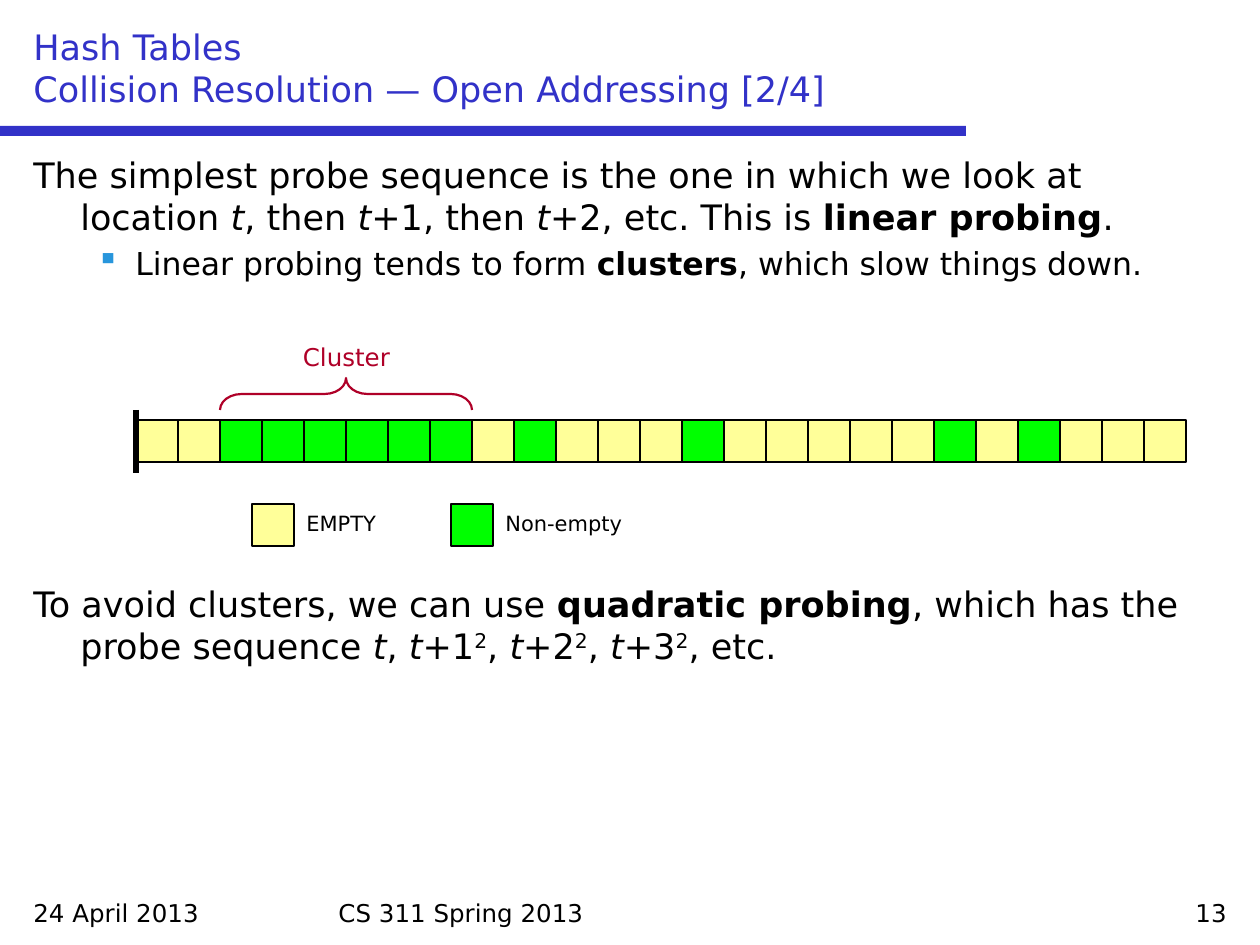
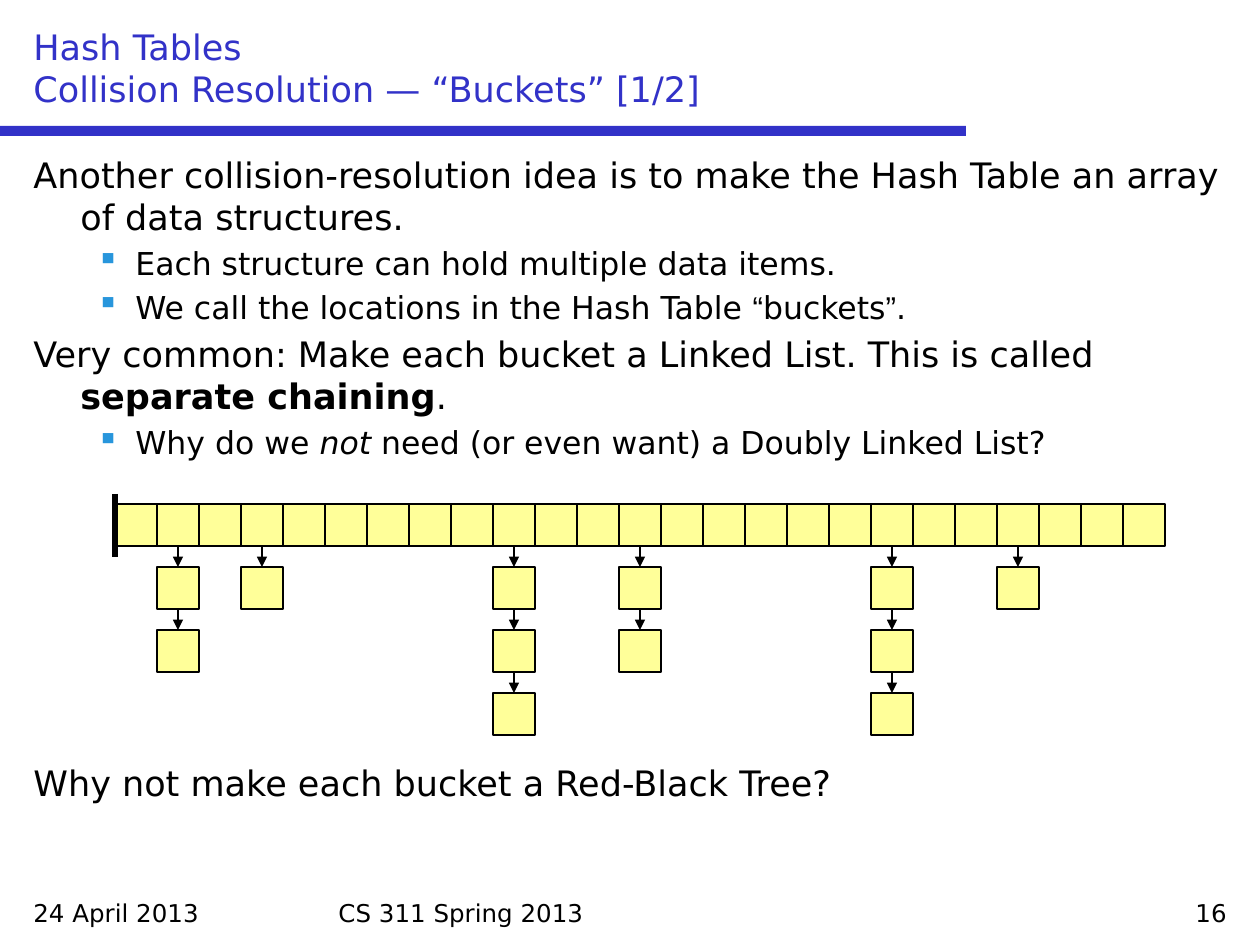
from lxml import etree
from pptx import Presentation
from pptx import util as u
from pptx.dml import color
from pptx.enum import shapes, text
from pptx.oxml import ns

SCALE = 914400 / 126
COLORS = {"title": "3232C8", "text": "000000", "bullet": "2896DC",
          "empty": "FFFF99", "full": "00FF00", "cluster": "AF0028"}
FONT = "DejaVu Sans"
CELL = 42
STEP = 63
BOLD = {"bold": True}
ITALIC = {"italic": True}
ARIAL = {"name": "Arial"}
T = ("t", ITALIC)
SQUARED = ("2", {"baseline": 30000})
LEVELS = [{"size": 20, "margin": 47, "hang": 47, "before": 4},
          {"size": 18, "margin": 102, "hang": 39, "before": 3.6}]
BELOW_DIAGRAM = 172


def px(n):
    return u.Emu(round(n * SCALE))


def rgb(name):
    return color.RGBColor.from_string(COLORS[name])


class Deck:
    def __init__(self):
        self.prs = Presentation()
        self.prs.slide_width, self.prs.slide_height = px(1260), px(945)
        self.s = None

    def slide(self, title, number):
        self.s = self.prs.slides.add_slide(self.prs.slide_layouts[6])
        self.rect(0, 126, 966, 10, "title", border=False)
        self.label("24 April 2013", 21, 892, 294)
        self.label("CS 311 Spring 2013", 326, 892, 609)
        self.label(str(number), 945, 892, 294, align=text.PP_ALIGN.RIGHT)
        self.label("Hash Tables\v" + title, 21, 21, 1218, 95, size=20,
                   ink="title", anchor=text.MSO_ANCHOR.BOTTOM)

    def frame(self, x, y, w, h, anchor=text.MSO_ANCHOR.TOP):
        tf = self.s.shapes.add_textbox(px(x), px(y), px(w), px(h)).text_frame
        formats = {"word_wrap": True, "vertical_anchor": anchor}
        for key, value in formats.items():
            setattr(tf, key, value)
        return tf

    def runs(self, p, parts, size, ink="text"):
        for part in parts:
            content, extra = (part, {}) if isinstance(part, str) else part
            for i, line in enumerate(content.split("\v")):
                if i:
                    p.add_line_break()
                r = p.add_run()
                r.text = line
                r.font.color.rgb = rgb(ink)
                formats = {"name": FONT, "size": u.Pt(size), **extra}
                baseline = formats.pop("baseline", None)
                for key, value in formats.items():
                    setattr(r.font, key, value)
                if baseline:
                    r._r.get_or_add_rPr().set("baseline", str(baseline))

    def label(self, content, x, y, w, h=42, size=14, ink="text",
              align=text.PP_ALIGN.LEFT, anchor=text.MSO_ANCHOR.TOP):
        p = self.frame(x, y, w, h, anchor).paragraphs[0]
        p.alignment = align
        self.runs(p, [content], size, ink)

    def body(self, items):
        tf = self.frame(21, 147, 1218, 735)
        for i, (level, parts, *before) in enumerate(items):
            p = tf.paragraphs[0] if i == 0 else tf.add_paragraph()
            style = LEVELS[level]
            p.level = level
            p.space_before = u.Pt(before[0] if before else style["before"])
            pPr = p._p.get_or_add_pPr()
            pPr.set("marL", str(px(style["margin"])))
            pPr.set("indent", str(-px(style["hang"])))
            if level:
                clr = etree.SubElement(pPr, ns.qn("a:buClr"))
                etree.SubElement(clr, ns.qn("a:srgbClr"), val=COLORS["bullet"])
                etree.SubElement(pPr, ns.qn("a:buChar"), char="▪")
            self.runs(p, parts, style["size"])

    def rect(self, x, y, w, h, fill, border=True):
        sp = self.s.shapes.add_shape(shapes.MSO_SHAPE.RECTANGLE,
                                     px(x), px(y), px(w), px(h))
        sp.shadow.inherit = False
        sp.fill.solid()
        sp.fill.fore_color.rgb = rgb(fill)
        if border:
            sp.line.color.rgb = rgb("text")
            sp.line.width = u.Pt(1.25)
        else:
            sp.line.fill.background()

    def cell(self, x, y, fill="empty"):
        self.rect(x, y, CELL, CELL, fill)

    def vertical(self, x, top, bottom, width=1.25, arrow=False):
        c = self.s.shapes.add_connector(shapes.MSO_CONNECTOR.STRAIGHT,
                                        px(x), px(top), px(x), px(bottom))
        c.line.color.rgb = rgb("text")
        c.line.width = u.Pt(width)
        if arrow:
            etree.SubElement(c.line._get_or_add_ln(), ns.qn("a:tailEnd"),
                             type="triangle")
        etree.SubElement(c._element.spPr, ns.qn("a:effectLst"))

    def array(self, x, y, full=(), count=25):
        for i in range(count):
            self.cell(x + i * CELL, y, "full" if i in full else "empty")
        self.vertical(x, y - 10, y + CELL + 11, width=3)

    def chain(self, x, y, length):
        for i in range(length):
            top = y + i * STEP
            self.vertical(x + CELL / 2, top + CELL, top + STEP, arrow=True)
            self.cell(x, top + STEP)

    def brace(self, x, y, w, h):
        sp = self.s.shapes.add_shape(
            shapes.MSO_SHAPE.LEFT_BRACE, px(x + (w - h) / 2),
            px(y + (h - w) / 2), px(h), px(w))
        sp.rotation = 90
        sp.adjustments[0], sp.adjustments[1] = 0.67, 0.5
        sp.shadow.inherit = False
        sp.fill.background()
        sp.line.color.rgb = rgb("cluster")
        sp.line.width = u.Pt(1.25)


deck = Deck()

deck.slide("Collision Resolution — Open Addressing [2/4]", 13)
deck.body([
    (0, ["The simplest probe sequence is the one in which we look at location ",
         T, ", then ", T, "+1, then ", T, "+2, etc. This is ",
         ("linear probing", BOLD), "."]),
    (1, ["Linear probing tends to form ", ("clusters", BOLD),
         ", which slow things down."]),
    (0, ["To avoid clusters, we can use ", ("quadratic probing", BOLD),
         ", which has the probe sequence ", T, ", ", T, "+1", SQUARED, ", ",
         T, "+2", SQUARED, ", ", T, "+3", SQUARED, ", etc."], BELOW_DIAGRAM),
])
left = 136
cluster = range(2, 8)
deck.array(left, 420, full=[*cluster, 9, 13, 19, 21])
deck.brace(left + cluster[0] * CELL, 378, len(cluster) * CELL, 32)
deck.label("Cluster", 273, 336, 147, ink="cluster",
           align=text.PP_ALIGN.CENTER)
for x, fill, name, width in [(252, "empty", "EMPTY", 105),
                             (451, "full", "Non-empty", 158)]:
    deck.cell(x, 504, fill)
    deck.label(name, x + CELL, 504, width, 38, size=12)

deck.slide("Collision Resolution — “Buckets” [1/2]", 16)
deck.body([
    (0, ["Another collision-resolution idea is to make the Hash Table "
         "an array of data structures."]),
    (1, ["Each structure can hold multiple data items."]),
    (1, ["We call the locations in the Hash Table ", ("“", ARIAL), "buckets",
         ("”", ARIAL), "."]),
    (0, ["Very common: Make each bucket a Linked List. This is called ",
         ("separate chaining", BOLD), "."]),
    (1, ["Why do we ", ("not", ITALIC),
         " need (or even want) a Doubly Linked List?"]),
    (0, ["Why not make each bucket a Red-Black Tree?"], BELOW_DIAGRAM),
])
left = 115
deck.array(left, 504)
for bucket, length in {1: 2, 3: 1, 9: 3, 12: 2, 18: 3, 21: 1}.items():
    deck.chain(left + bucket * CELL, 504, length)

deck.prs.save("out.pptx")
